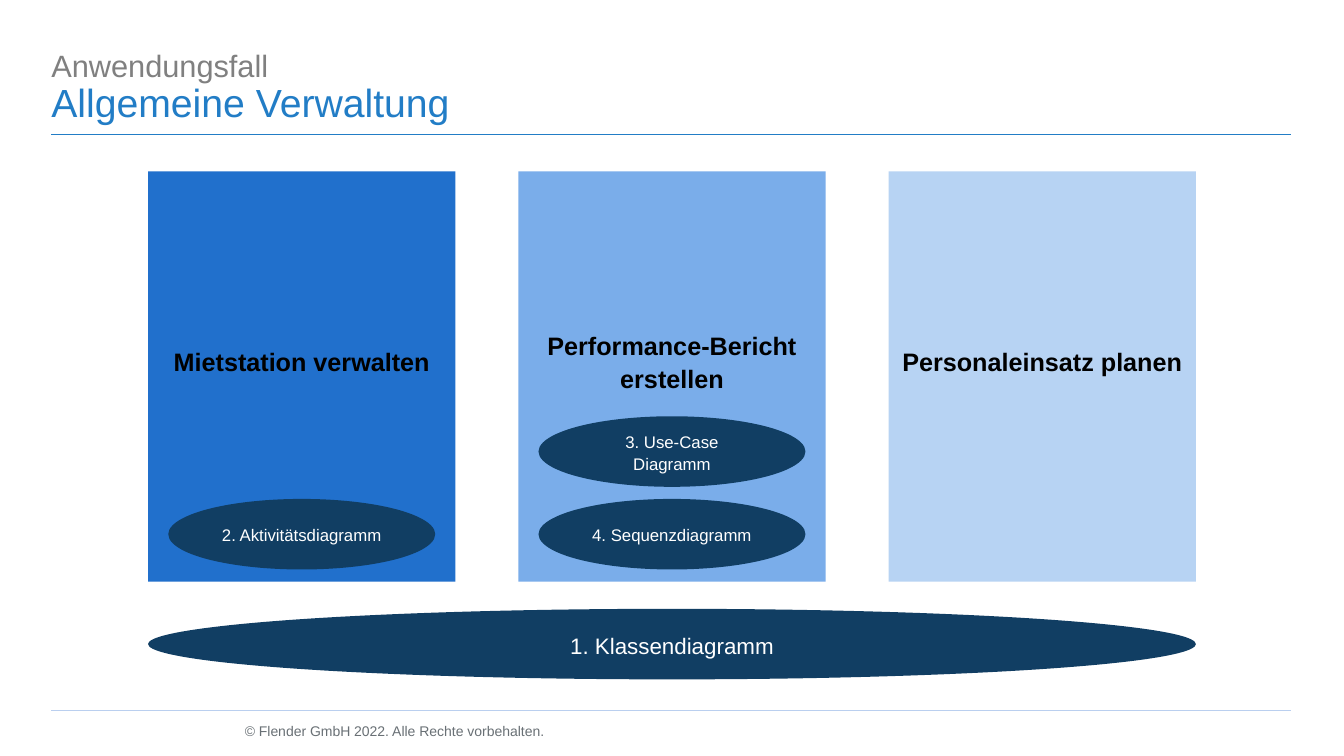
from dataclasses import dataclass

from lxml import etree
from pptx import Presentation
from pptx.dml.color import RGBColor
from pptx.enum.shapes import MSO_CONNECTOR, MSO_SHAPE
from pptx.enum.text import MSO_ANCHOR, MSO_AUTO_SIZE, PP_ALIGN
from pptx.oxml.ns import qn
from pptx.util import Inches, Pt

RECTANGLE, ELLIPSE = MSO_SHAPE.RECTANGLE, MSO_SHAPE.OVAL
STRAIGHT = MSO_CONNECTOR.STRAIGHT
TOP, MIDDLE, BOTTOM = MSO_ANCHOR.TOP, MSO_ANCHOR.MIDDLE, MSO_ANCHOR.BOTTOM
LEFT, CENTER = PP_ALIGN.LEFT, PP_ALIGN.CENTER
NO_AUTOFIT = MSO_AUTO_SIZE.NONE

COLORS = {
    "accent": "227DC6", "rule": "BACFEF", "grey": "808080", "footer": "697075",
    "strong": "2170CC", "medium": "7AADEA", "light": "B7D3F3",
    "diagram": "113E63", "black": "000000", "white": "FFFFFF",
}

# Grid in inches: three columns, diagram rows counted upwards from the lowest
SLIDE_W, SLIDE_H = 13.34, 7.5
MARGIN, RULE_W = 0.51, 12.3
GRID_LEFT, GRID_W, COLUMNS = 1.47, 10.4, 3
COLUMN_W = 3.05
COLUMN_STEP = (GRID_W - COLUMN_W) / (COLUMNS - 1)
COLUMN_TOP, COLUMN_H = 1.7, 4.07
DIAGRAM_INSET, DIAGRAM_H = 0.2, 0.7
LOWEST_ROW, ROW_STEP = 4.95, 0.82
PAD_X, PAD_Y, LABEL_LIFT = 0.12, 0.06, 0.32


@dataclass(frozen=True)
class Box:
    left: float
    top: float
    width: float
    height: float

    def emu(self) -> list[int]:
        return [Inches(v) for v in (self.left, self.top, self.width, self.height)]


@dataclass(frozen=True)
class UseCase:
    label: str
    fill: str
    diagrams: tuple[str, ...] = ()  # from the lowest row upwards


USE_CASES = (
    UseCase("Mietstation verwalten", "strong", ("2. Aktivitätsdiagramm",)),
    UseCase("Performance-Bericht erstellen", "medium",
            ("4. Sequenzdiagramm", "3. Use-Case Diagramm")),
    UseCase("Personaleinsatz planen", "light"),
)


def color(name: str) -> RGBColor:
    return RGBColor.from_string(COLORS[name])


def write(paragraph, text: str, tint: str, align, spacing, **font) -> None:
    paragraph.alignment = align
    paragraph.line_spacing = spacing
    run = paragraph.add_run()
    run.text = text
    for key, value in {"name": "Arial", "bold": False, **font}.items():
        setattr(run.font, key, value)
    run.font.color.rgb = color(tint)


def frame_text(shape, anchor, pad_x: float = 0, pad_top: float = 0,
               pad_bottom: float = 0):
    frame = shape.text_frame
    settings = {
        "word_wrap": True, "auto_size": NO_AUTOFIT, "vertical_anchor": anchor,
        "margin_left": Inches(pad_x), "margin_right": Inches(pad_x),
        "margin_top": Inches(pad_top), "margin_bottom": Inches(pad_bottom),
    }
    for key, value in settings.items():
        setattr(frame, key, value)
    return frame


def add_label(slide, kind, box: Box, fill: str, text: str, tint: str,
              size: int, bold: bool = False, lift: float = 0) -> None:
    shape = slide.shapes.add_shape(kind, *box.emu())
    shape.shadow.inherit = False
    shape.fill.solid()
    shape.fill.fore_color.rgb = color(fill)
    shape.line.fill.background()
    frame = frame_text(shape, MIDDLE, PAD_X, PAD_Y, PAD_Y + lift)
    write(frame.paragraphs[0], text, tint, CENTER, 1.1, size=Pt(size), bold=bold)


def add_rule(slide, top: float, tint: str) -> None:
    rule = slide.shapes.add_connector(
        STRAIGHT, Inches(MARGIN), Inches(top), Inches(MARGIN + RULE_W), Inches(top))
    rule.line.color.rgb = color(tint)
    rule.line.width = Pt(0.5)
    etree.SubElement(rule._element.spPr, qn("a:effectLst"))


def add_heading(slide) -> None:
    heading = slide.shapes.title
    heading.left, heading.top, heading.width, heading.height = Box(
        MARGIN, 0.41, 8.38, 0.88).emu()
    frame = frame_text(heading, TOP)
    write(frame.paragraphs[0], "Anwendungsfall", "grey", LEFT, Pt(30), size=Pt(22))
    write(frame.add_paragraph(), "Allgemeine Verwaltung", "accent", LEFT, Pt(30),
          size=Pt(28))


def add_use_case(slide, column: int, case: UseCase) -> None:
    left = GRID_LEFT + column * COLUMN_STEP
    add_label(slide, RECTANGLE, Box(left, COLUMN_TOP, COLUMN_W, COLUMN_H),
              case.fill, case.label, "black", 18, bold=True, lift=LABEL_LIFT)
    for row, diagram in enumerate(case.diagrams):
        box = Box(left + DIAGRAM_INSET, LOWEST_ROW - row * ROW_STEP,
                  COLUMN_W - 2 * DIAGRAM_INSET, DIAGRAM_H)
        add_label(slide, ELLIPSE, box, "diagram", diagram, "white", 12)


def add_footer(slide) -> None:
    footer = slide.shapes.add_textbox(*Box(2.43, 7.11, 10.4, 0.22).emu())
    write(frame_text(footer, BOTTOM).paragraphs[0],
          "© Flender GmbH 2022. Alle Rechte vorbehalten.", "footer", LEFT, 1.0,
          size=Pt(10))


def main() -> None:
    deck = Presentation()
    deck.slide_width, deck.slide_height = Inches(SLIDE_W), Inches(SLIDE_H)
    slide = deck.slides.add_slide(deck.slide_layouts.get_by_name("Title Only"))

    # Heading and rules
    add_heading(slide)
    add_rule(slide, 1.33, "accent")
    add_rule(slide, 7.05, "rule")

    # Use cases with their diagrams, and the shared class diagram
    for column, case in enumerate(USE_CASES):
        add_use_case(slide, column, case)
    add_label(slide, ELLIPSE, Box(GRID_LEFT, 6.04, GRID_W, DIAGRAM_H),
              "diagram", "1. Klassendiagramm", "white", 16)

    # Copyright line
    add_footer(slide)
    deck.save("out.pptx")


if __name__ == "__main__":
    main()
